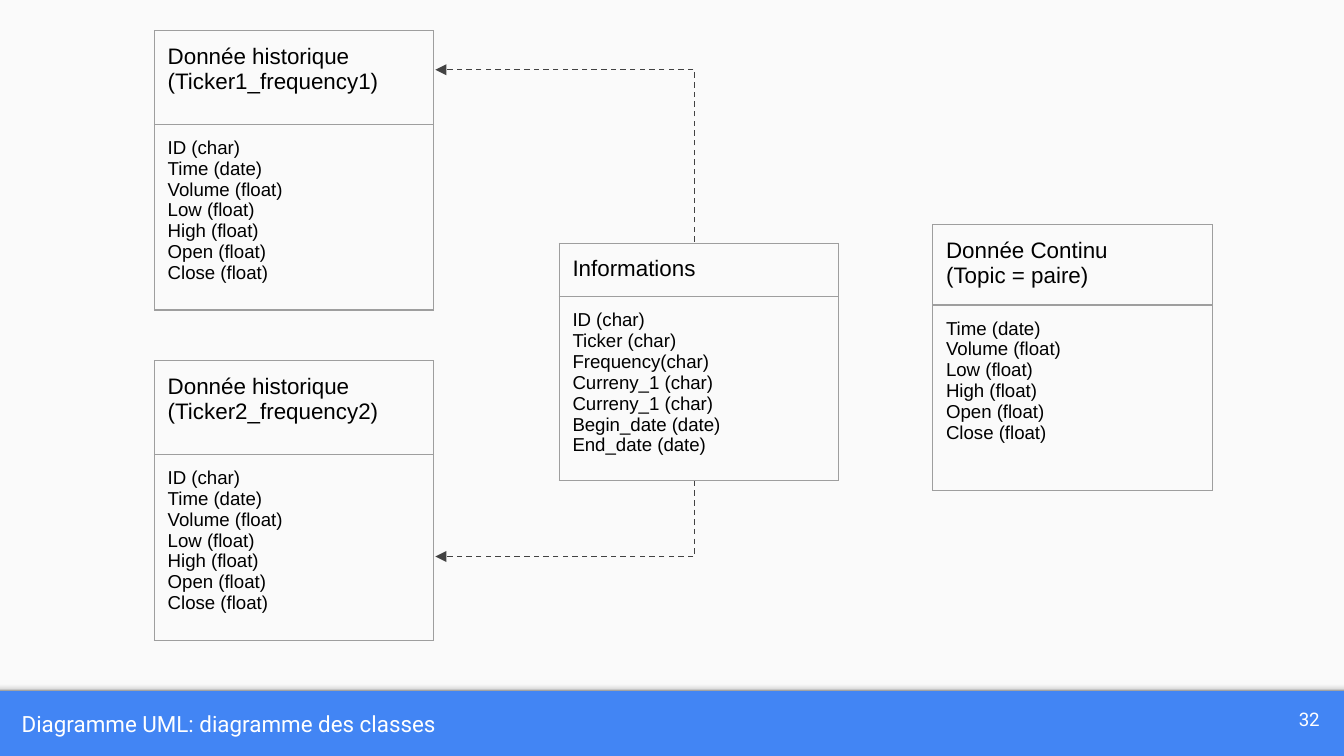
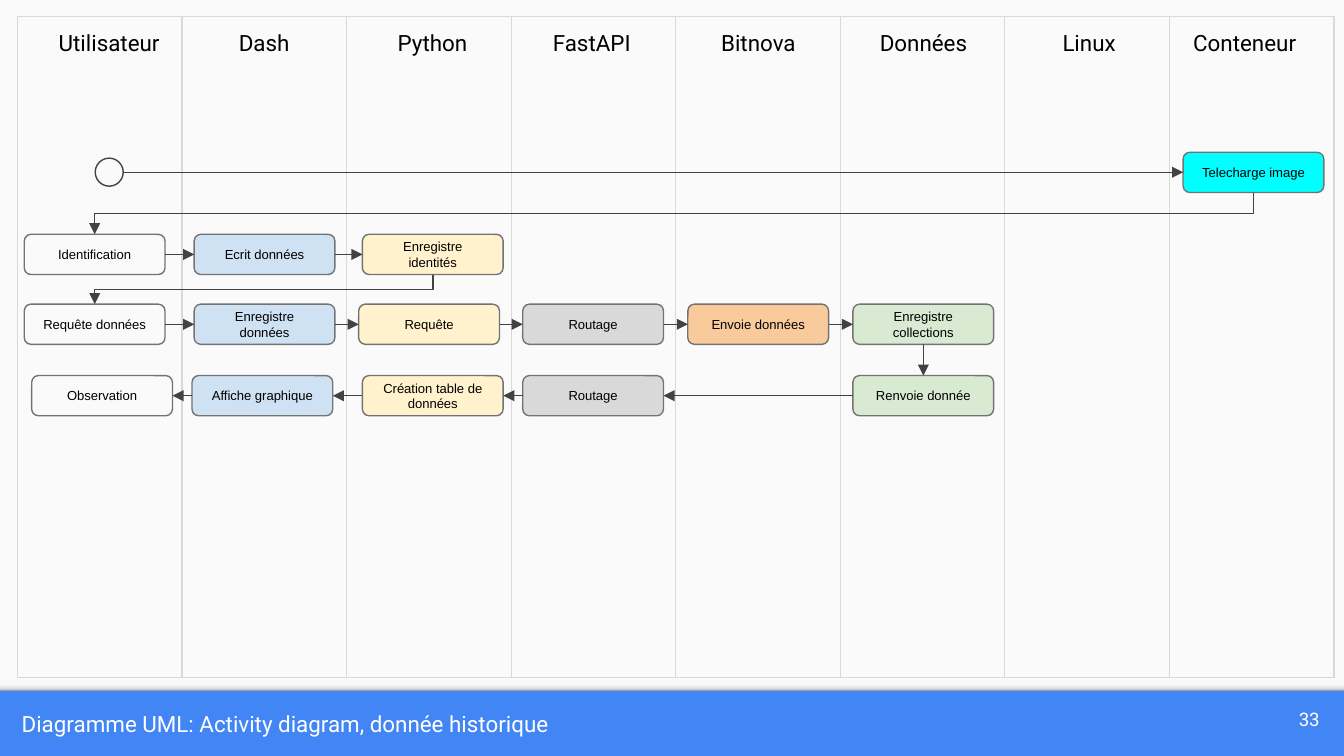
from itertools import pairwise

from lxml.etree import SubElement
from pptx import Presentation
from pptx.dml.color import RGBColor
from pptx.enum.dml import MSO_LINE
from pptx.enum.shapes import MSO_CONNECTOR as LINK, MSO_SHAPE as SHAPE
from pptx.enum.text import MSO_ANCHOR as ANCHOR, PP_ALIGN as ALIGN
from pptx.oxml.ns import qn
from pptx.util import Cm, Pt

# Shared look, lengths in cm
WIDTH, HEIGHT = 25.4, 14.29
BAND_TOP = 13.06
INSET = 0.25
BLUE, PAPER, WHITE, BLACK = "4285F4", "FAFAFA", "FFFFFF", "000000"
INK, STEP_EDGE, CLASS_EDGE, LANE_EDGE = "424242", "737373", "9E9E9E", "D9D9D9"
SHADE = [(0, "F9F9F9"), (36, "F9F9F9"), (80, "DEDEDE"), (100, "999999")]

# Class diagram: left, top, row heights, heading lines, fields
CLASS_WIDTH = 5.28
PRICES = ["Time (date)", "Volume (float)", "Low (float)", "High (float)",
          "Open (float)", "Close (float)"]
HISTORY = ["ID (char)"] + PRICES
INFORMATION = ["ID (char)", "Ticker (char)", "Frequency(char)", "Curreny_1 (char)",
               "Curreny_1 (char)", "Begin_date (date)", "End_date (date)"]
CLASSES = [
    (10.57, 4.6, (0.97, 3.27), ["Informations"], INFORMATION),
    (17.63, 4.25, (1.46, 3.51), ["Donnée Continu", "(Topic = paire)"], PRICES),
    (2.92, 0.58, (1.77, 3.51), ["Donnée historique (Ticker1_frequency1)"], HISTORY),
    (2.92, 6.82, (1.77, 3.51), ["Donnée historique (Ticker2_frequency2)"], HISTORY),
]
REFERENCES = [((13.13, 4.57), (8.23, 1.32)), ((13.13, 9.09), (8.23, 10.52))]

# Activity diagram: lane name, heading left, step colour
LANES = [
    ("Utilisateur", 0.81, None), ("Dash", 3.74, "CFE2F3"),
    ("Python", 6.92, "FFF2CC"), ("FastAPI", 9.93, "D9D9D9"),
    ("Bitnova", 13.08, "F9CB9C"), ("Données", 16.2, "D9EAD3"),
    ("Linux", 19.33, None), ("Conteneur", 22.27, "00FFFF"),
]
LANE_LEFT, LANE_TOP, LANE_WIDTH, LANE_HEIGHT = 0.33, 0.31, 3.11, 12.5
STEP_WIDTH, STEP_HEIGHT = 2.66, 0.76
START = (1.8, 2.99, 0.53, 0.53)

# Row top, then steps in flow order: text, lane, left
FLOW = [
    (2.88, [("Telecharge image", "Conteneur", 22.36)]),
    (4.43, [("Identification", "Utilisateur", 0.46),
            ("Ecrit données", "Dash", 3.67),
            ("Enregistre identités", "Python", 6.85)]),
    (5.75, [("Requête données", "Utilisateur", 0.46),
            ("Enregistre données", "Dash", 3.67),
            ("Requête", "Python", 6.78),
            ("Routage", "FastAPI", 9.88),
            ("Envoie données", "Bitnova", 13.0),
            ("Enregistre collections", "Données", 16.12)]),
    (7.1, [("Renvoie donnée", "Données", 16.12),
           ("Routage", "FastAPI", 9.88),
           ("Création table de données", "Python", 6.85),
           ("Affiche graphique", "Dash", 3.63),
           ("Observation", "Utilisateur", 0.6)]),
]


def rgb(value):
    return RGBColor.from_string(value)


def cm(lengths):
    return [Cm(length) for length in lengths]


def write(frame, lines, size, font="Arial", color=BLACK, align=ALIGN.LEFT):
    for index, line in enumerate(lines):
        para = frame.paragraphs[0] if index == 0 else frame.add_paragraph()
        para.alignment = align
        span = para.add_run()
        span.text = line
        span.font.name, span.font.size = font, Pt(size)
        span.font.color.rgb = rgb(color)


def set_insets(target):
    target.margin_left = target.margin_right = Cm(INSET)
    target.margin_top = target.margin_bottom = Cm(INSET)


def add_label(page, place, text, size, color=BLACK, align=ALIGN.LEFT, anchor=ANCHOR.MIDDLE):
    frame = page.shapes.add_textbox(*cm(place)).text_frame
    frame.word_wrap = True
    frame.vertical_anchor = anchor
    set_insets(frame)
    write(frame, [text], size, "Roboto", color, align)


def add_box(page, kind, place, fill=None, edge=None):
    box = page.shapes.add_shape(kind, *cm(place))
    box.shadow.inherit = False
    if fill:
        box.fill.solid()
        box.fill.fore_color.rgb = rgb(fill)
    else:
        box.fill.background()
    if edge:
        box.line.color.rgb = rgb(edge)
        box.line.width = Pt(0.75)
    else:
        box.line.fill.background()
    return box


def shade(box):
    """Fade a box from top to bottom."""
    box.fill.gradient()
    box.fill.gradient_angle = 270
    stop_list = next(box.element.iter(qn("a:gsLst")))
    for stop in list(stop_list):
        stop_list.remove(stop)
    for position, color in SHADE:
        stop = SubElement(stop_list, qn("a:gs"), pos=str(position * 1000))
        SubElement(stop, qn("a:srgbClr"), val=color)


def add_arrow(page, kind, begin, end, dashed=False):
    arrow = page.shapes.add_connector(kind, *begin, *end)
    arrow.line.color.rgb = rgb(INK)
    arrow.line.width = Pt(0.75)
    if dashed:
        arrow.line.dash_style = MSO_LINE.DASH
    props = arrow.element.spPr
    SubElement(props.find(qn("a:ln")), qn("a:tailEnd"), type="triangle")
    SubElement(props, qn("a:effectLst"))
    return arrow


def add_grid(page, left, top, widths, heights, edge):
    place = cm((left, top, sum(widths), sum(heights)))
    table = page.shapes.add_table(len(heights), len(widths), *place).table
    table.first_row = table.horz_banding = False
    for column, width in zip(table.columns, widths):
        column.width = Cm(width)
    for row, height in zip(table.rows, heights):
        row.height = Cm(height)
    for cell in table.iter_cells():
        set_insets(cell)
        props = cell._tc.get_or_add_tcPr()
        for side in ("lnL", "lnR", "lnT", "lnB"):
            border = SubElement(props, qn(f"a:{side}"), w=str(Pt(0.75)))
            SubElement(SubElement(border, qn("a:solidFill")), qn("a:srgbClr"), val=edge)
        cell.fill.background()
    return table


def add_page(deck, title, number):
    page = deck.slides.add_slide(deck.slide_layouts[6])
    add_box(page, SHAPE.RECTANGLE, (0, 0, WIDTH, BAND_TOP), PAPER)
    shade(add_box(page, SHAPE.RECTANGLE, (0, BAND_TOP - 0.2, WIDTH, 0.2)))
    add_label(page, (0.16, BAND_TOP, 23.29, 1.24), title, 12, WHITE)
    add_label(page, (23.67, BAND_TOP, 1.52, 1.08), number, 10, WHITE, ALIGN.RIGHT)
    return page


def add_class_diagram(page):
    for left, top, heights, heading, fields in CLASSES:
        table = add_grid(page, left, top, [CLASS_WIDTH], heights, CLASS_EDGE)
        write(table.cell(0, 0).text_frame, heading, 12)
        write(table.cell(1, 0).text_frame, fields, 10)
    for begin, end in REFERENCES:
        arrow = add_arrow(page, LINK.ELBOW, cm(begin), cm(end), dashed=True)
        # Turn at once, so that the line leaves vertically
        guides = next(arrow.element.iter(qn("a:avLst")))
        SubElement(guides, qn("a:gd"), name="adj1", fmla="val 0")


def add_step(page, text, lane, left, top):
    fill = {name: color for name, _, color in LANES}[lane]
    place = (left, top, STEP_WIDTH, STEP_HEIGHT)
    box = add_box(page, SHAPE.ROUNDED_RECTANGLE, place, fill, STEP_EDGE)
    frame = box.text_frame
    frame.word_wrap = True
    frame.vertical_anchor = ANCHOR.MIDDLE
    set_insets(frame)
    write(frame, [text], 7, align=ALIGN.CENTER)
    return box


def link_across(page, source, target):
    forward = target.left > source.left
    begin = source.left + source.width if forward else source.left
    end = target.left if forward else target.left + target.width
    y = source.top + source.height // 2
    add_arrow(page, LINK.STRAIGHT, (begin, y), (end, y))


def link_down(page, source, target):
    x1, y1 = source.left + source.width // 2, source.top + source.height
    x2, y2 = target.left + target.width // 2, target.top
    if x1 == x2:
        add_arrow(page, LINK.STRAIGHT, (x1, y1), (x2, y2))
        return
    # An elbow laid out sideways, then turned to go down, left and down
    mid_x, mid_y = (x1 + x2) // 2, (y1 + y2) // 2
    half_drop, half_run = (y2 - y1) // 2, (x1 - x2) // 2
    arrow = add_arrow(page, LINK.ELBOW, (mid_x - half_drop, mid_y - half_run),
                      (mid_x + half_drop, mid_y + half_run))
    arrow.rotation = 90


def add_activity_diagram(page):
    # Lanes and their headings
    add_grid(page, LANE_LEFT, LANE_TOP, [LANE_WIDTH] * len(LANES), [LANE_HEIGHT], LANE_EDGE)
    for name, left, _ in LANES:
        add_label(page, (left, LANE_TOP, 2.51, 1.02), name, 12,
                  align=ALIGN.CENTER, anchor=ANCHOR.TOP)
    # Steps, row by row
    rows = [[add_step(page, *step, top) for step in steps] for top, steps in FLOW]
    rows[0].insert(0, add_box(page, SHAPE.OVAL, START, edge=INK))
    # Arrows along each row, then from row to row
    for row in rows:
        for source, target in pairwise(row):
            link_across(page, source, target)
    for upper, lower in pairwise(rows):
        link_down(page, upper[-1], lower[0])


def main():
    deck = Presentation()
    deck.slide_width, deck.slide_height = cm((WIDTH, HEIGHT))
    backdrop = deck.slide_master.background.fill
    backdrop.solid()
    backdrop.fore_color.rgb = rgb(BLUE)
    add_class_diagram(add_page(deck, "Diagramme UML: diagramme des classes", "32"))
    add_activity_diagram(
        add_page(deck, "Diagramme UML: Activity diagram, donnée historique", "33"))
    deck.save("out.pptx")


if __name__ == "__main__":
    main()
